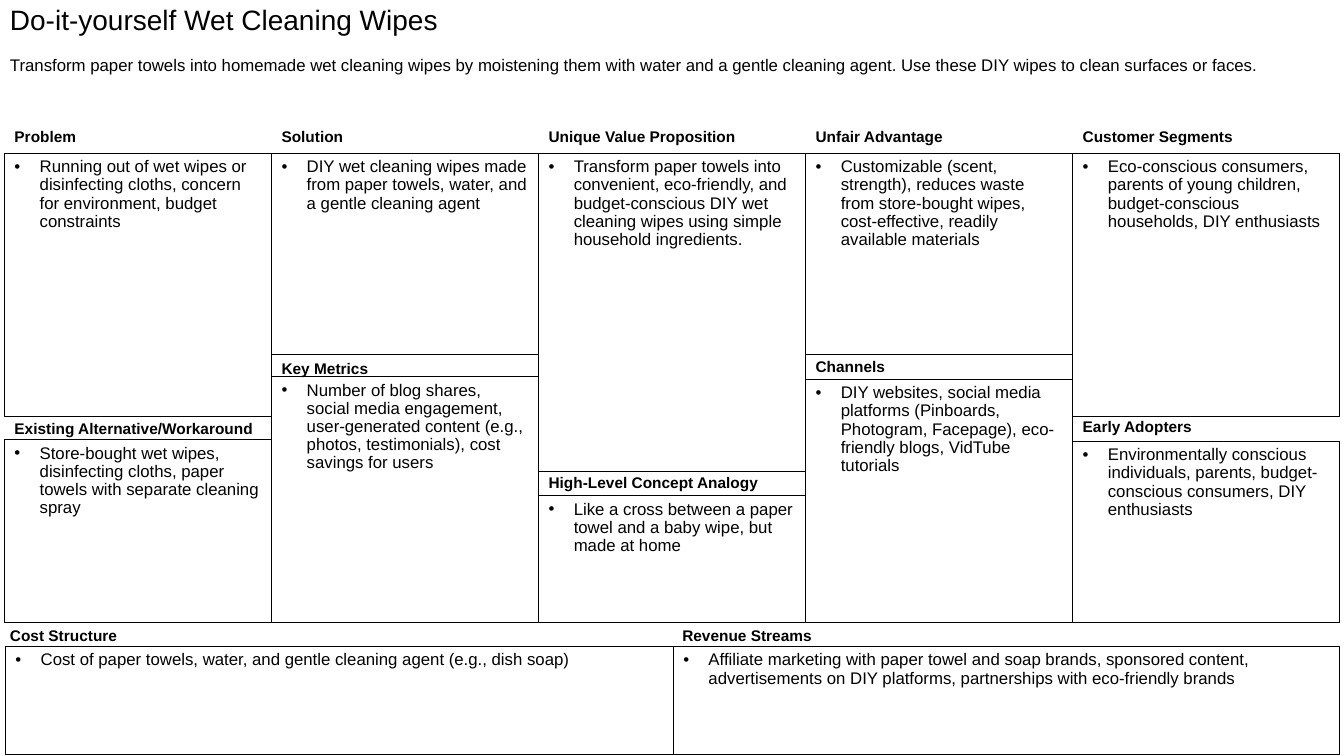
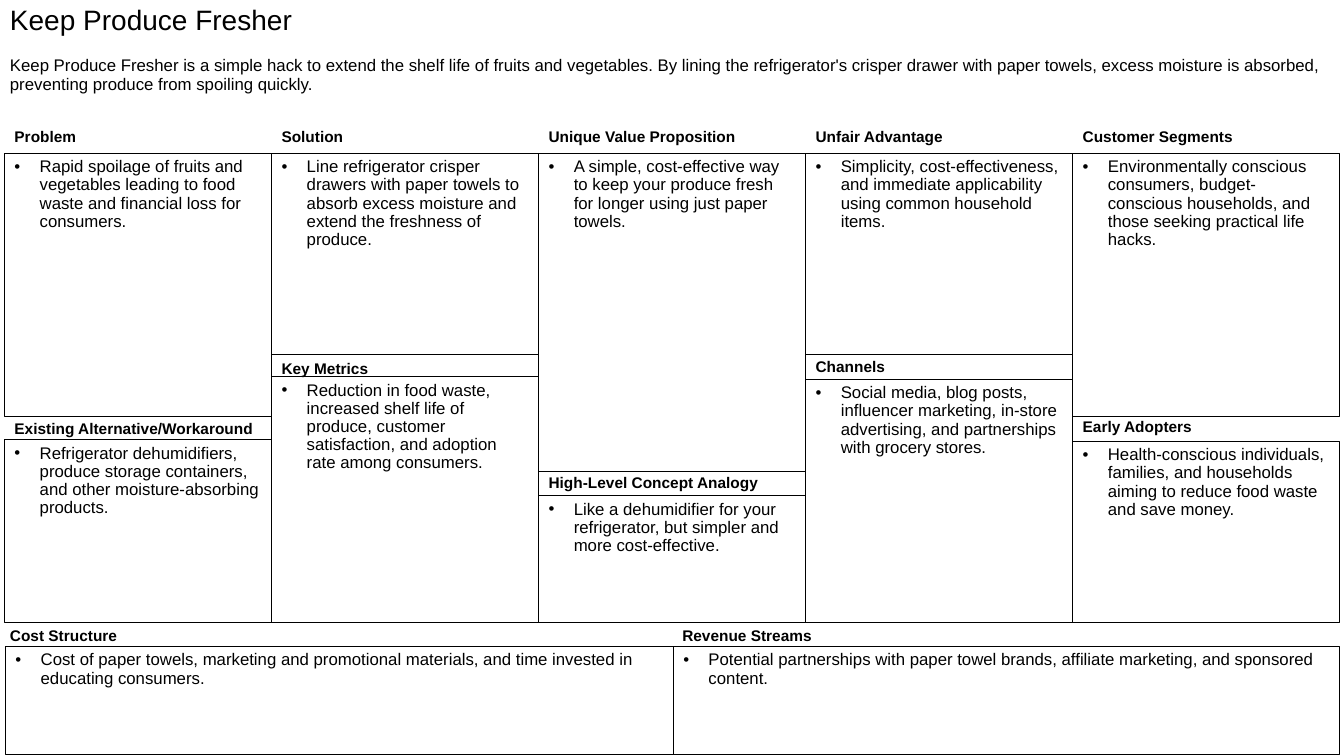
from dataclasses import dataclass

from lxml.etree import SubElement
from pptx import Presentation
from pptx.dml.color import RGBColor
from pptx.enum.shapes import MSO_SHAPE as Shape
from pptx.enum.text import MSO_ANCHOR as Anchor, PP_ALIGN as Align
from pptx.oxml.ns import qn
from pptx.util import Pt


@dataclass(frozen=True)
class Theme:
    ink: RGBColor = RGBColor(0, 0, 0)
    font: str = "Arial"
    title: float = 20
    label: float = 11
    body: float = 12
    line: float = 0.75
    indent: float = 18


WIDTH, HEIGHT = 960, 540
LEFT, PITCH = 3.25, 190.75
HEAD_TOP, TOP, BOTTOM = 90.4, 109.5, 445
FOOT_LABEL, FOOT_TOP, FOOT_BOTTOM = 447, 461.75, 539
LABEL_HEIGHT = 14.4

COLUMNS = [
    ("Problem", 297.5, "Existing Alternative/Workaround", 298.8, 314),
    ("Solution", 253.25, "Key Metrics", 255.6, 269),
    ("Unique Value Proposition", 336.75, "High-Level Concept Analogy", 337.7, 354),
    ("Unfair Advantage", 253.25, "Channels", 254.2, 271),
    ("Customer Segments", 297.5, "Early Adopters", 297.4, 315.25),
]
FOOTERS = [("Cost Structure", 0, 4, 481), ("Revenue Streams", 480.25, 481, 957)]

CANVASES = [
    {
        "title": "Do-it-yourself Wet Cleaning Wipes",
        "summary": "Transform paper towels into homemade wet cleaning wipes by moistening them with water and a gentle cleaning agent. Use these DIY wipes to clean surfaces or faces.",
        "upper": [
            "Running out of wet wipes or disinfecting cloths, concern for environment, budget constraints",
            "DIY wet cleaning wipes made from paper towels, water, and a gentle cleaning agent",
            "Transform paper towels into convenient, eco-friendly, and budget-conscious DIY wet cleaning wipes using simple household ingredients.",
            "Customizable (scent, strength), reduces waste from store-bought wipes, cost-effective, readily available materials",
            "Eco-conscious consumers, parents of young children, budget-conscious households, DIY enthusiasts",
        ],
        "lower": [
            "Store-bought wet wipes, disinfecting cloths, paper towels with separate cleaning spray",
            "Number of blog shares, social media engagement, user-generated content (e.g., photos, testimonials), cost savings for users",
            "Like a cross between a paper towel and a baby wipe, but made at home",
            "DIY websites, social media platforms (Pinboards, Photogram, Facepage), eco-friendly blogs, VidTube tutorials",
            "Environmentally conscious individuals, parents, budget-conscious consumers, DIY enthusiasts",
        ],
        "footer": [
            "Cost of paper towels, water, and gentle cleaning agent (e.g., dish soap)",
            "Affiliate marketing with paper towel and soap brands, sponsored content, advertisements on DIY platforms, partnerships with eco-friendly brands",
        ],
    },
    {
        "title": "Keep Produce Fresher",
        "summary": "Keep Produce Fresher is a simple hack to extend the shelf life of fruits and vegetables. By lining the refrigerator's crisper drawer with paper towels, excess moisture is absorbed, preventing produce from spoiling quickly.",
        "upper": [
            "Rapid spoilage of fruits and vegetables leading to food waste and financial loss for consumers.",
            "Line refrigerator crisper drawers with paper towels to absorb excess moisture and extend the freshness of produce.",
            "A simple, cost-effective way to keep your produce fresh for longer using just paper towels.",
            "Simplicity, cost-effectiveness, and immediate applicability using common household items.",
            "Environmentally conscious consumers, budget-conscious households, and those seeking practical life hacks.",
        ],
        "lower": [
            "Refrigerator dehumidifiers, produce storage containers, and other moisture-absorbing products.",
            "Reduction in food waste, increased shelf life of produce, customer satisfaction, and adoption rate among consumers.",
            "Like a dehumidifier for your refrigerator, but simpler and more cost-effective.",
            "Social media, blog posts, influencer marketing, in-store advertising, and partnerships with grocery stores.",
            "Health-conscious individuals, families, and households aiming to reduce food waste and save money.",
        ],
        "footer": [
            "Cost of paper towels, marketing and promotional materials, and time invested in educating consumers.",
            "Potential partnerships with paper towel brands, affiliate marketing, and sponsored content.",
        ],
    },
]


def assign(obj, values):
    for name, value in values.items():
        setattr(obj, name, value)


class Deck:
    """Draw lean canvas slides in one shared style."""

    def __init__(self, theme):
        self.theme = theme
        self.prs = Presentation()
        assign(self.prs, {"slide_width": Pt(WIDTH), "slide_height": Pt(HEIGHT)})

    def new_slide(self):
        self.s = self.prs.slides.add_slide(self.prs.slide_layouts[6])

    def add_text(self, sp, text, size, frame=None, para=None, bold=False):
        tf = sp.text_frame
        assign(tf, {"word_wrap": True, "vertical_anchor": Anchor.TOP, **(frame or {})})
        p = tf.paragraphs[0]
        assign(p, {"alignment": Align.LEFT, **(para or {})})
        r = p.add_run()
        r.text = text
        assign(r.font, {"name": self.theme.font, "size": Pt(size), "bold": bold})
        r.font.color.rgb = self.theme.ink
        return p

    def textbox(self, x, y, w, h):
        return self.s.shapes.add_textbox(Pt(x), Pt(y), Pt(w), Pt(h))

    def label(self, text, x, y):
        frame = {"margin_top": 0, "margin_right": 0, "margin_bottom": 0,
                 "vertical_anchor": Anchor.MIDDLE}
        sp = self.textbox(x, y, PITCH, LABEL_HEIGHT)
        self.add_text(sp, text, self.theme.label, frame, bold=True)

    def heading(self, title, summary):
        para = {"line_spacing": 0.9}
        self.add_text(self.textbox(0, 1.25, WIDTH, 36.5), title, self.theme.title, para=para)
        self.add_text(self.textbox(0, 37.5, WIDTH, 45.5), summary, self.theme.body, para=para)

    def panel(self, text, x, top, right, bottom):
        sp = self.s.shapes.add_shape(
            Shape.RECTANGLE, Pt(x), Pt(top), Pt(right - x), Pt(bottom - top))
        sp.shadow.inherit = False
        sp.fill.background()
        sp.line.color.rgb = self.theme.ink
        sp.line.width = Pt(self.theme.line)
        p = self.add_text(sp, text, self.theme.body, para={"line_spacing": 0.9})
        pPr = p._p.get_or_add_pPr()
        indent = Pt(self.theme.indent)
        pPr.set("marL", str(indent))
        pPr.set("indent", str(-indent))
        SubElement(pPr, qn("a:buFont"), typeface=self.theme.font)
        SubElement(pPr, qn("a:buChar"), char="•")

    def canvas(self, content):
        self.new_slide()
        self.heading(content["title"], content["summary"])
        columns = zip(COLUMNS, content["upper"], content["lower"])
        for i, ((head, split, subhead, sub_y, resume), upper, lower) in enumerate(columns):
            x = LEFT + i * PITCH
            self.label(head, x, HEAD_TOP)
            self.label(subhead, x, sub_y)
            self.panel(upper, x, TOP, x + PITCH, split)
            self.panel(lower, x, resume, x + PITCH, BOTTOM)
        for (head, label_x, x, right), text in zip(FOOTERS, content["footer"]):
            self.label(head, label_x, FOOT_LABEL)
            self.panel(text, x, FOOT_TOP, right, FOOT_BOTTOM)


def main():
    deck = Deck(Theme())
    for content in CANVASES:
        deck.canvas(content)
    deck.prs.save("out.pptx")


if __name__ == "__main__":
    main()
